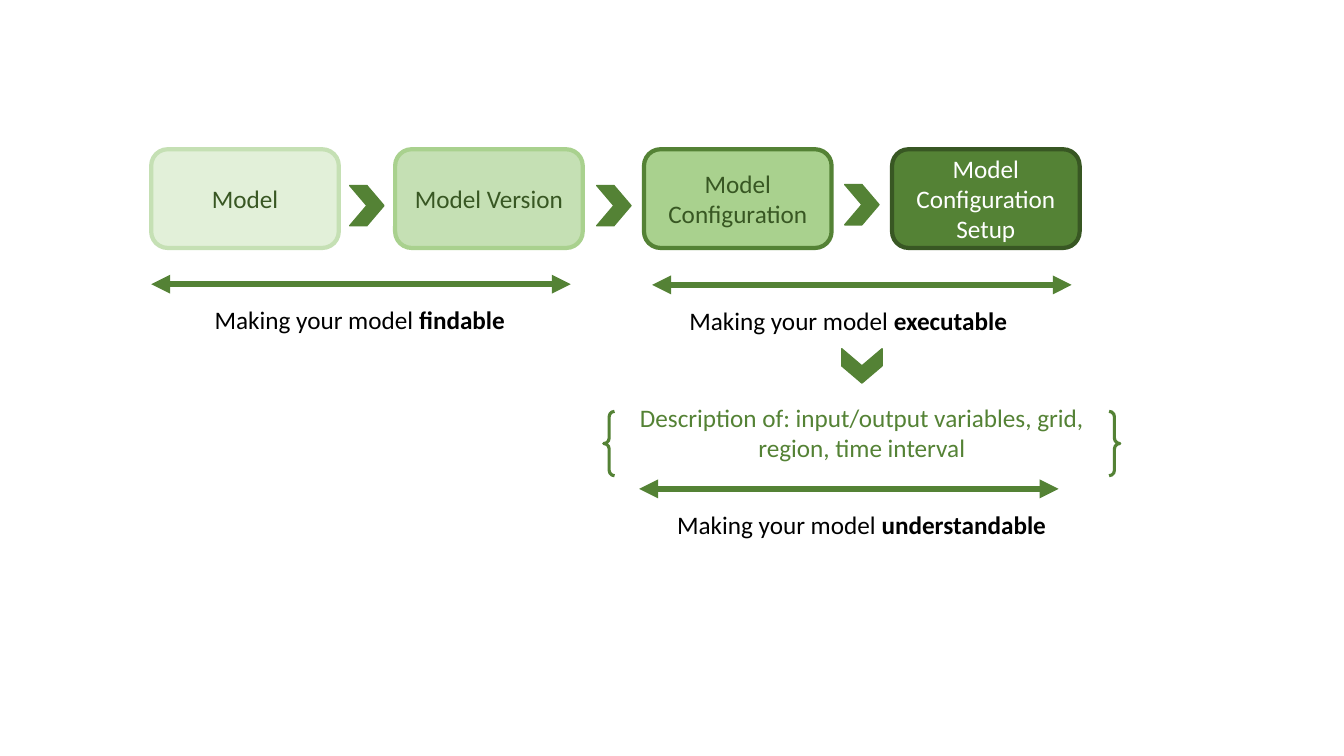
from lxml.etree import SubElement
from pptx import Presentation
from pptx.dml.color import RGBColor
from pptx.enum.shapes import MSO_CONNECTOR, MSO_SHAPE
from pptx.enum.text import MSO_ANCHOR, PP_ALIGN
from pptx.oxml.ns import qn
from pptx.util import Pt

COLORS = {
    "mist": "E2F0D9",
    "pale": "C5E0B4",
    "light": "A9D18E",
    "green": "548235",
    "dark": "385723",
    "white": "FFFFFF",
    "black": "000000",
}

STAGES = [
    ("Model", 108, "mist", "pale", "dark"),
    ("Model Version", 282.25, "pale", "light", "dark"),
    ("Model Configuration", 460, "light", "green", "dark"),
    ("Model Configuration Setup", 637.2, "green", "dark", "white"),
]

STEPS = [(249.8, 132.5, 0), (426.25, 132.5, 0), (603.4, 131.8, 0), (603.4, 247, 90)]

GOALS = [
    ("findable", 108, 203, 146.2, 222.5),
    ("executable", 465.8, 203.5, 485.3, 242),
    ("understandable", 456.5, 349.2, 476.6, 278),
]


def rgb(name):
    """Return the palette colour with this name."""
    return RGBColor.from_string(COLORS[name])


def write(frame, text, bold_end="", color="black", align=PP_ALIGN.LEFT,
          anchor=MSO_ANCHOR.TOP, wrap=True):
    """Fill a text frame, with an optional bold ending."""
    frame.word_wrap = wrap
    frame.vertical_anchor = anchor
    paragraph = frame.paragraphs[0]
    paragraph.alignment = align
    for words, bold in ((text, False), (bold_end, True)):
        if words:
            run = paragraph.add_run()
            run.text = words
            run.font.name = "Calibri"
            run.font.size = Pt(18)
            run.font.bold = bold
            run.font.color.rgb = rgb(color)


def add_outlined(slide, preset, left, top, width, height, line, weight, fill=None):
    """Add a preset shape with an outline and an optional fill."""
    outlined = slide.shapes.add_shape(preset, Pt(left), Pt(top), Pt(width), Pt(height))
    outlined.shadow.inherit = False
    if fill:
        outlined.fill.solid()
        outlined.fill.fore_color.rgb = rgb(fill)
    else:
        outlined.fill.background()
    outlined.line.color.rgb = rgb(line)
    outlined.line.width = Pt(weight)
    return outlined


def add_stage(slide, label, left, fill, line, color):
    """Add one rounded stage of the model chain."""
    stage = add_outlined(slide, MSO_SHAPE.ROUNDED_RECTANGLE, left, 106.6, 134, 70.5,
                         line, 3, fill)
    write(stage.text_frame, label, color=color, align=PP_ALIGN.CENTER,
          anchor=MSO_ANCHOR.MIDDLE)


def add_step(slide, left, top, rotation):
    """Add a chevron that leads to the next part."""
    step = add_outlined(slide, MSO_SHAPE.CHEVRON, left, top, 24.5, 28.8, "green", 1, "green")
    step.rotation = rotation


def add_span(slide, left, y, length=299.7):
    """Add a horizontal line with an arrowhead at each end."""
    span = slide.shapes.add_connector(MSO_CONNECTOR.STRAIGHT, Pt(left), Pt(y),
                                      Pt(left + length), Pt(y))
    span.line.color.rgb = rgb("green")
    span.line.width = Pt(4.5)
    outline = span.line._get_or_add_ln()
    for end in ("a:headEnd", "a:tailEnd"):
        SubElement(outline, qn(end), type="triangle")
    SubElement(span._element.spPr, qn("a:effectLst"))


def add_goal(slide, goal, span_left, y, left, width):
    """Add a span and the goal written below it."""
    add_span(slide, span_left, y)
    caption = slide.shapes.add_textbox(Pt(left), Pt(y + 10.8), Pt(width), Pt(29))
    write(caption.text_frame, "Making your model ", bold_end=goal, wrap=False)


def add_description(slide):
    """Add the braces and the description between them."""
    left, width = 431.3, 368.6
    add_outlined(slide, MSO_SHAPE.DOUBLE_BRACE, left, 293.8, width, 46, "green", 2.25)
    description = slide.shapes.add_textbox(Pt(left), Pt(284), Pt(width), Pt(50.5))
    write(description.text_frame,
          "Description of: input/output variables, grid, region, time interval",
          color="green", align=PP_ALIGN.CENTER)


def main():
    """Build the slide and save it."""
    deck = Presentation()
    deck.slide_width, deck.slide_height = Pt(960), Pt(540)
    slide = deck.slides.add_slide(deck.slide_layouts[6])
    for stage in STAGES:
        add_stage(slide, *stage)
    for step in STEPS:
        add_step(slide, *step)
    for goal in GOALS:
        add_goal(slide, *goal)
    add_description(slide)
    deck.save("out.pptx")


if __name__ == "__main__":
    main()
